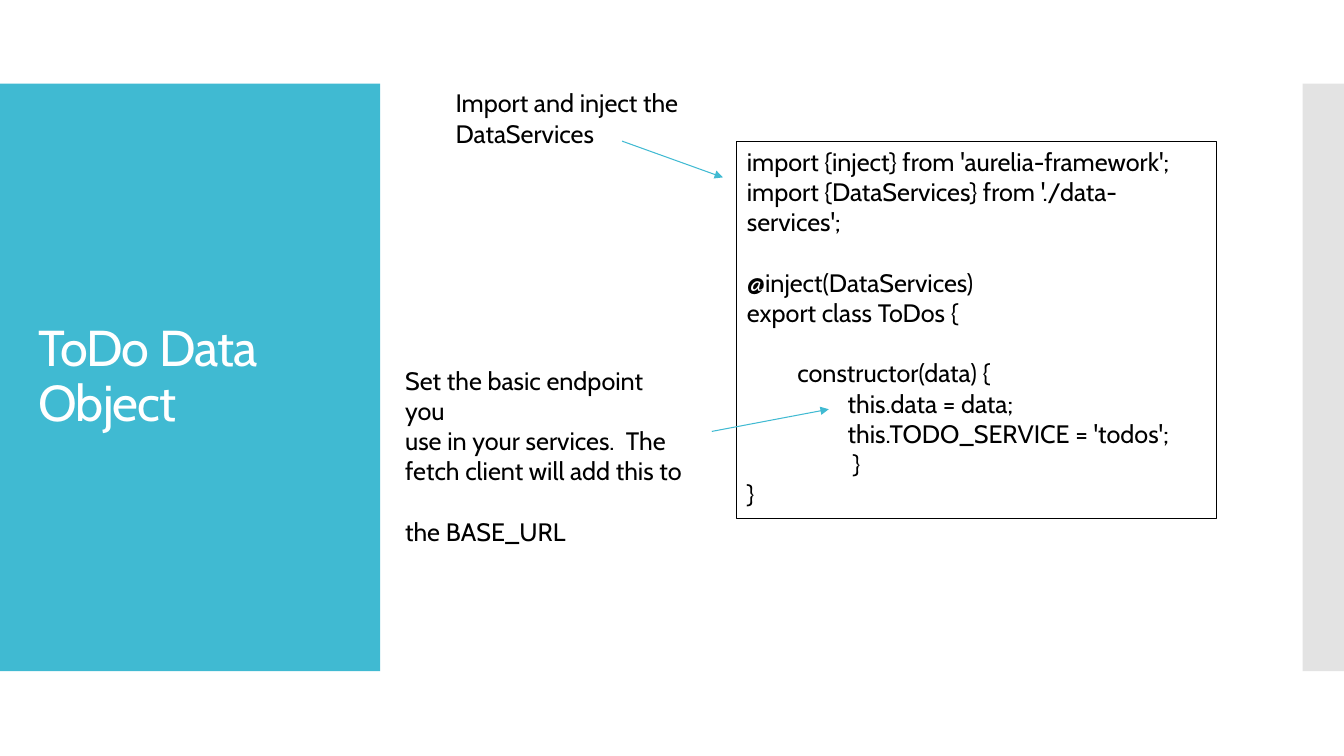
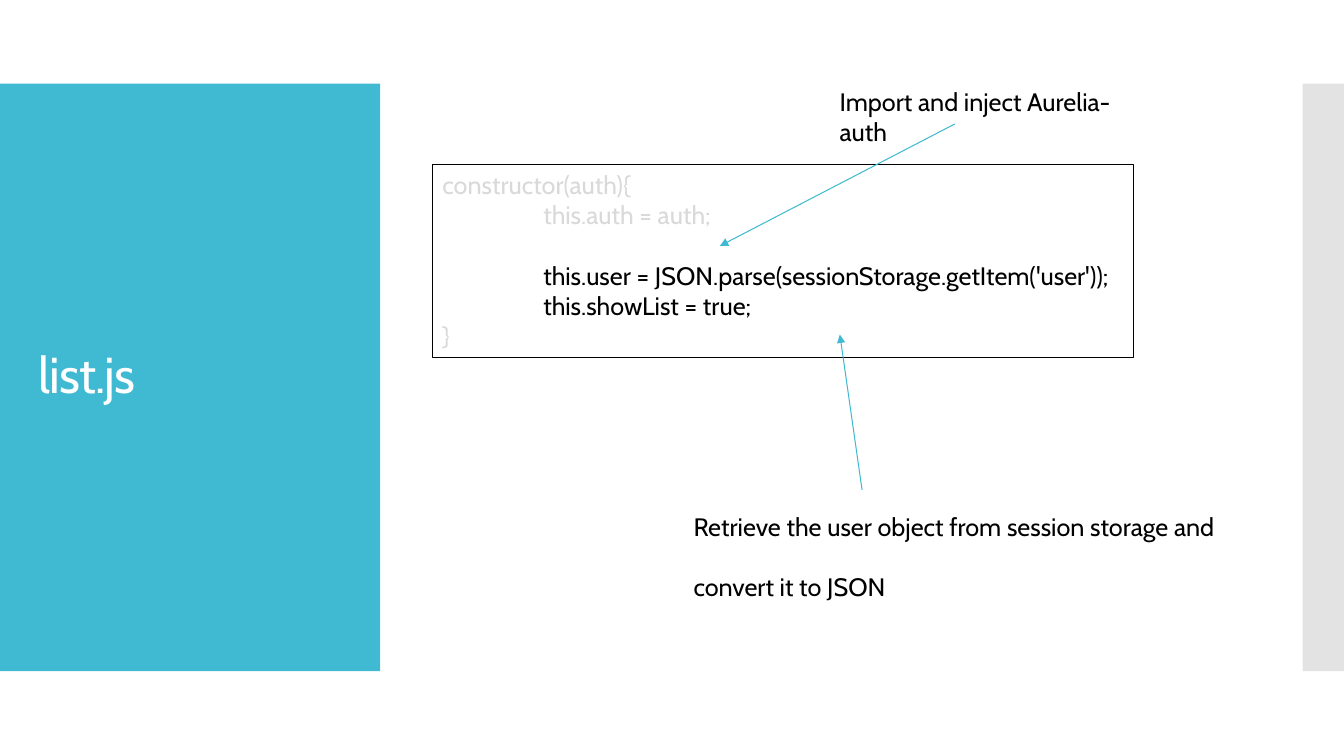
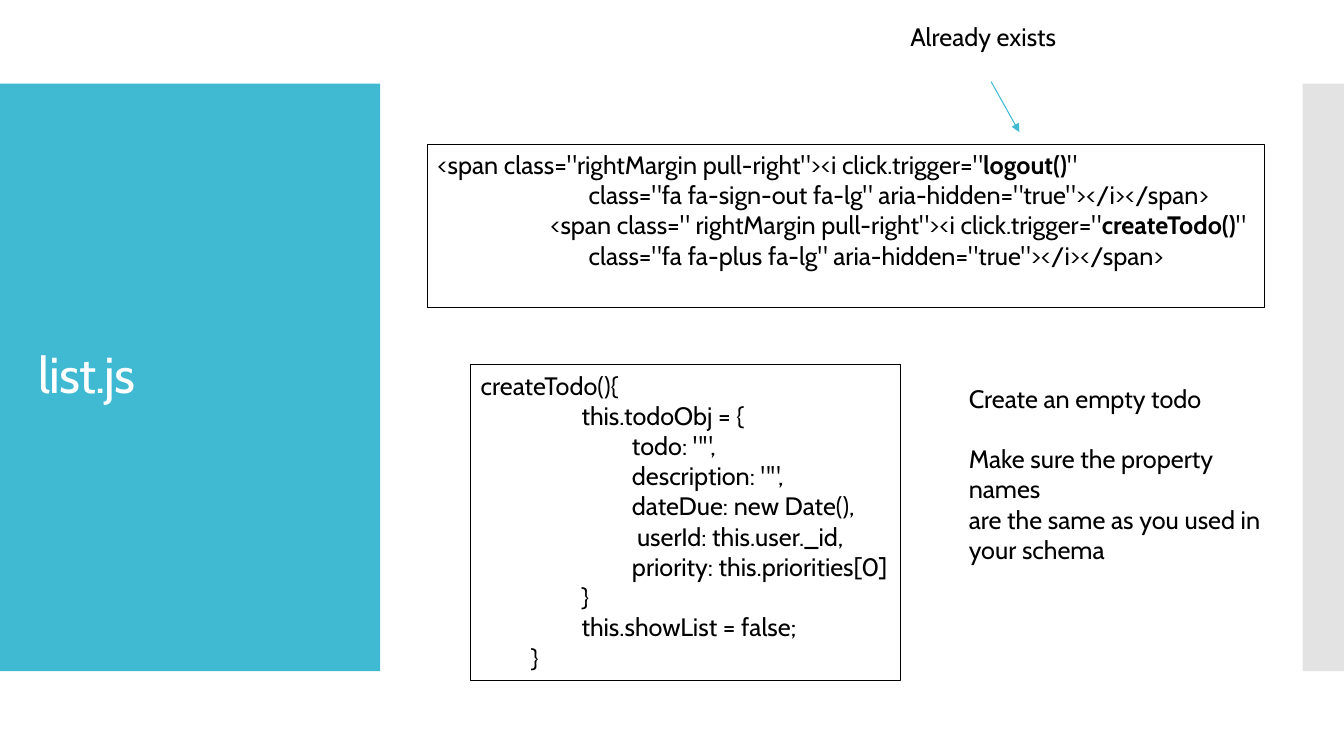
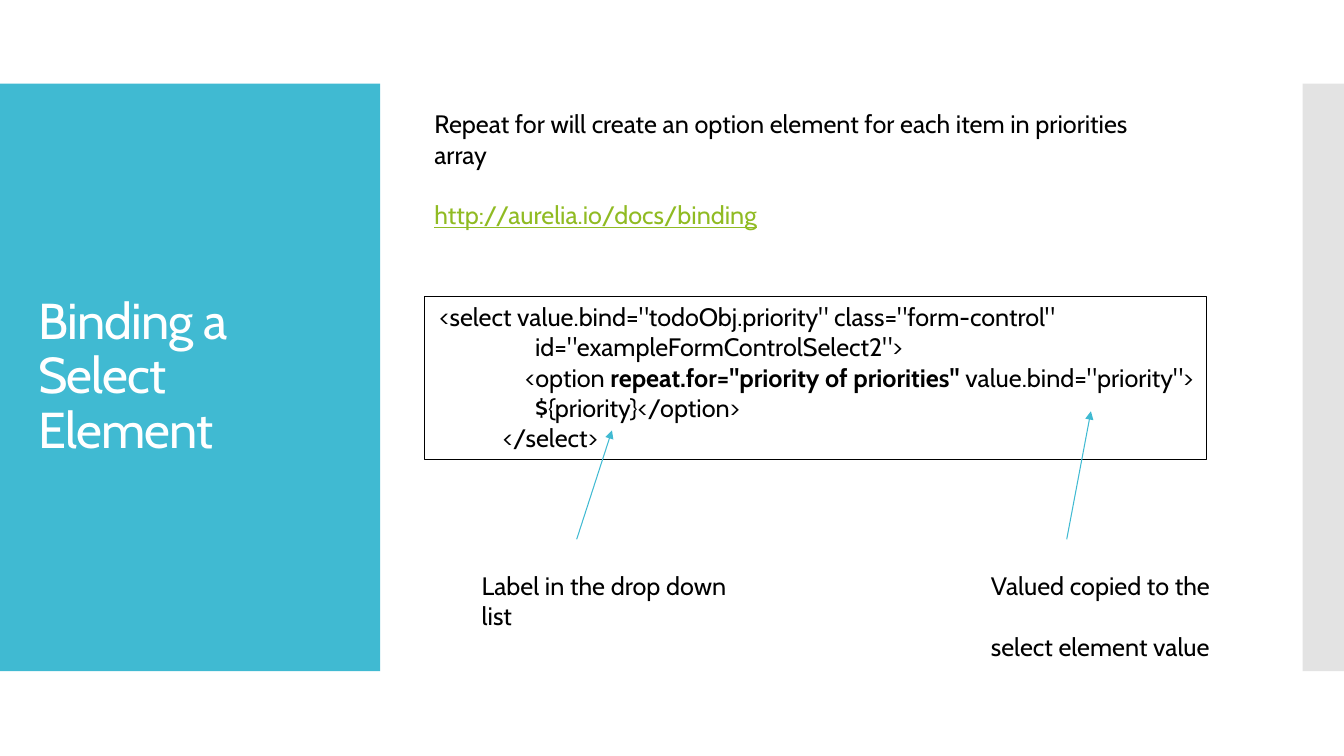
import dataclasses
import typing

import pptx
import pptx.dml.color
import pptx.enum.dml
import pptx.enum.shapes
import pptx.enum.text
import pptx.oxml
import pptx.oxml.ns
import pptx.util
import lxml.etree

Inches = pptx.util.Inches
Pt = pptx.util.Pt
RGBColor = pptx.dml.color.RGBColor
RECTANGLE = pptx.enum.shapes.MSO_SHAPE.RECTANGLE
ANCHOR = pptx.enum.text.MSO_ANCHOR

# Shared look
TEAL = RGBColor(0x40, 0xBA, 0xD2)
SILVER = RGBColor(0xC8, 0xC8, 0xC8)
FADED = RGBColor(0xD9, 0xD9, 0xD9)
LINK_GREEN = RGBColor(0x90, 0xBB, 0x23)
BLACK = RGBColor(0, 0, 0)
WHITE = RGBColor(0xFF, 0xFF, 0xFF)
BODY_FONT = {"name": "Cabin", "size": Pt(18)}
TITLE_FONT = {"name": "Cabin", "size": Pt(36)}
TITLE_FRAME = {"left": Inches(0.28), "top": Inches(1.23),
               "width": Inches(3.22), "height": Inches(5.03)}
BLANK_LINE = Pt(21.6)
THIN = Pt(0.75)


@dataclasses.dataclass(frozen=True)
class Run:
    text: str
    color: RGBColor = BLACK
    bold: bool = False
    underline: bool = False


@dataclasses.dataclass(frozen=True)
class Line:
    """One paragraph: its runs, left indent in inches, and a gap above it."""
    runs: tuple[Run, ...]
    indent: float = 0
    gap: bool = False


@dataclasses.dataclass(frozen=True)
class Box:
    left: float
    top: float
    width: float
    height: float
    lines: list[Line]
    framed: bool = False


class Arrow(typing.NamedTuple):
    start_x: float
    start_y: float
    end_x: float
    end_y: float


@dataclasses.dataclass(frozen=True)
class Page:
    title: str
    boxes: list[Box]
    arrows: list[Arrow]


def line(*parts: str | Run, indent: float = 0, gap: bool = False) -> Line:
    runs = tuple(Run(part) if isinstance(part, str) else part for part in parts)
    return Line(runs, indent, gap)


def bold(text: str) -> Run:
    return Run(text, bold=True)


def faded(text: str) -> Run:
    return Run(text, FADED)


def apply_format(target: typing.Any, values: dict[str, typing.Any]) -> None:
    for name, value in values.items():
        setattr(target, name, value)


def add_child(parent: typing.Any, tag: str, **attributes: str) -> None:
    lxml.etree.SubElement(parent, pptx.oxml.ns.qn(tag), attributes)


# Drawing
def add_bands(slide: typing.Any, layout: typing.Any) -> None:
    """Build the side bands and hand them to the layout all slides use."""
    tree = layout.shapes._spTree
    for index, (left, width, color) in enumerate(
            [(0, 3.77, TEAL), (12.92, 0.42, SILVER)]):
        band = slide.shapes.add_shape(RECTANGLE, Inches(left), Inches(0.83),
                                      Inches(width), Inches(5.83))
        band.shadow.inherit = False
        band.fill.solid()
        band.fill.fore_color.rgb = color
        band.line.fill.background()
        if color == SILVER:
            fill_color = band._element.spPr.find(".//" + pptx.oxml.ns.qn("a:srgbClr"))
            add_child(fill_color, "a:alpha", val="50000")
        band._element.nvSpPr.cNvPr.set("id", str(101 + index))
        tree.insert(2 + index, band._element)


def set_title(slide: typing.Any, text: str) -> None:
    title = slide.shapes.title
    apply_format(title, TITLE_FRAME)
    apply_format(title.text_frame, {
        "text": text, "word_wrap": True, "vertical_anchor": ANCHOR.MIDDLE,
        "auto_size": pptx.enum.text.MSO_AUTO_SIZE.NONE})
    paragraph = title.text_frame.paragraphs[0]
    apply_format(paragraph, {"alignment": pptx.enum.text.PP_ALIGN.LEFT,
                             "line_spacing": 0.9})
    run = paragraph.runs[0]
    apply_format(run.font, TITLE_FONT)
    run.font.color.rgb = WHITE
    run._r.get_or_add_rPr().set("spc", "-60")


def write_lines(text_frame: typing.Any, lines: list[Line]) -> None:
    apply_format(text_frame, {"word_wrap": True, "vertical_anchor": ANCHOR.TOP})
    for index, item in enumerate(lines):
        paragraph = text_frame.add_paragraph() if index else text_frame.paragraphs[0]
        paragraph.alignment = pptx.enum.text.PP_ALIGN.LEFT
        if item.gap:
            paragraph.space_before = BLANK_LINE
        if item.indent:
            paragraph._p.get_or_add_pPr().set("marL", str(Inches(item.indent)))
        for part in item.runs:
            run = paragraph.add_run()
            run.text = part.text
            apply_format(run.font, BODY_FONT | {"bold": part.bold,
                                                "underline": part.underline})
            run.font.color.rgb = part.color


def add_box(slide: typing.Any, box: Box) -> None:
    frame = [Inches(value) for value in (box.left, box.top, box.width, box.height)]
    if box.framed:
        shape = slide.shapes.add_shape(RECTANGLE, *frame)
        shape.shadow.inherit = False
        shape.fill.background()
        shape.line.color.rgb = BLACK
        shape.line.width = THIN
    else:
        shape = slide.shapes.add_textbox(*frame)
    write_lines(shape.text_frame, box.lines)


def add_arrow(slide: typing.Any, arrow: Arrow) -> None:
    connector = slide.shapes.add_connector(
        pptx.enum.shapes.MSO_CONNECTOR.STRAIGHT, *map(Inches, arrow))
    connector.line.color.rgb = TEAL
    connector.line.width = THIN
    add_child(connector.line._get_or_add_ln(), "a:tailEnd", type="triangle")
    add_child(connector._element.spPr, "a:effectLst")


# Content
PAGES = [
    Page("ToDo Data Object", [
        Box(7.31, 1.4, 4.76, 3.74, [
            line("import {inject} from 'aurelia-framework';"),
            line("import {DataServices} from './data-services';"),
            line("@inject(DataServices)", gap=True),
            line("export class ToDos {"),
            line("constructor(data) {", indent=0.5, gap=True),
            line("this.data = data;", indent=1),
            line("this.TODO_SERVICE = 'todos';", indent=1),
            line("}", indent=1.05),
            line("}"),
        ], framed=True),
        Box(4.42, 0.82, 3.8, 0.4, [line("Import and inject the DataServices")]),
        Box(3.92, 3.57, 2.97, 1.31, [
            line("Set the basic endpoint you"),
            line("use in your services.  The"),
            line("fetch client will add this to"),
            line("the BASE_URL", gap=True),
        ]),
    ], [Arrow(6.17, 1.4, 7.17, 1.76), Arrow(7.06, 4.28, 8.22, 4.06)]),
    Page("list.js", [
        Box(4.29, 1.63, 6.95, 1.92, [
            line(faded("constructor(auth){")),
            line(faded("this.auth = auth;"), indent=1),
            line("this.user = JSON.parse(sessionStorage.getItem('user'));",
                 indent=1, gap=True),
            line("this.showList = true;", indent=1),
            line(faded("}")),
        ], framed=True),
        Box(6.78, 5.02, 5.38, 0.71, [
            line("Retrieve the user object from session storage and"),
            line("convert it to JSON", gap=True),
        ]),
        Box(8.23, 0.81, 3.33, 0.4, [line("Import and inject Aurelia-auth")]),
    ], [Arrow(8.55, 4.86, 8.33, 3.32), Arrow(9.47, 1.23, 7.14, 2.44)]),
    Page("list.js", [
        Box(4.24, 1.43, 8.3, 1.62, [
            line('<span class="rightMargin pull-right"><i click.trigger="',
                 bold("logout()"), '"'),
            line('class="fa fa-sign-out fa-lg" aria-hidden="true"></i></span>',
                 indent=1.5),
            line('<span class=" rightMargin pull-right"><i click.trigger="',
                 bold("createTodo()"), '"', indent=1.12),
            line('class="fa fa-plus fa-lg" aria-hidden="true"></i></span>',
                 indent=1.5),
        ], framed=True),
        Box(8.93, 0.16, 1.65, 0.4, [line("Already exists")]),
        Box(4.67, 3.62, 4.26, 3.13, [
            line("createTodo(){"),
            line("this.todoObj = {", indent=1),
            line('todo: "",', indent=1.5),
            line('description: "",', indent=1.5),
            line("dateDue: new Date(),", indent=1.5),
            line("userId: this.user._id,", indent=1.55),
            line("priority: this.priorities[0]", indent=1.5),
            line("}", indent=1),
            line("this.showList = false;", indent=1),
            line("}", indent=0.5),
        ], framed=True),
        Box(9.51, 3.75, 3.35, 1.62, [
            line("Create an empty todo"),
            line("Make sure the property names", gap=True),
            line("are the same as you used in"),
            line("your schema"),
        ]),
    ], [Arrow(9.83, 0.81, 10.11, 1.31)]),
    Page("Binding a Select Element", [
        Box(4.21, 2.94, 7.76, 1.62, [
            line('<select value.bind="todoObj.priority" class="form-control"',
                 indent=0.05),
            line('id="exampleFormControlSelect2">', indent=1),
            line("<option ", bold('repeat.for="priority of priorities" '),
                 'value.bind="priority">', indent=0.9),
            line("${priority}</option>", indent=1),
            line("</select>", indent=0.68),
        ], framed=True),
        Box(4.21, 1.03, 7.6, 1.31, [
            line("Repeat for will create an option element for each item "
                 "in priorities array"),
            line(Run("http://aurelia.io/docs/binding", LINK_GREEN, underline=True),
                 gap=True),
        ]),
        Box(4.68, 5.61, 2.9, 0.4, [line("Label in the drop down list")]),
        Box(9.73, 5.61, 2.4, 0.71, [
            line("Valued copied to the"),
            line("select element value", gap=True),
        ]),
    ], [Arrow(5.72, 5.35, 6.07, 4.27), Arrow(10.58, 5.35, 10.82, 4.08)]),
]


def main() -> None:
    presentation = pptx.Presentation()
    presentation.slide_width = Inches(13.33)
    presentation.slide_height = Inches(7.5)
    layout = presentation.slide_layouts.get_by_name("Title Only")
    for number, page in enumerate(PAGES):
        slide = presentation.slides.add_slide(layout)
        if number == 0:
            add_bands(slide, layout)
        set_title(slide, page.title)
        for box in page.boxes:
            add_box(slide, box)
        for arrow in page.arrows:
            add_arrow(slide, arrow)
    presentation.save("out.pptx")


main()
